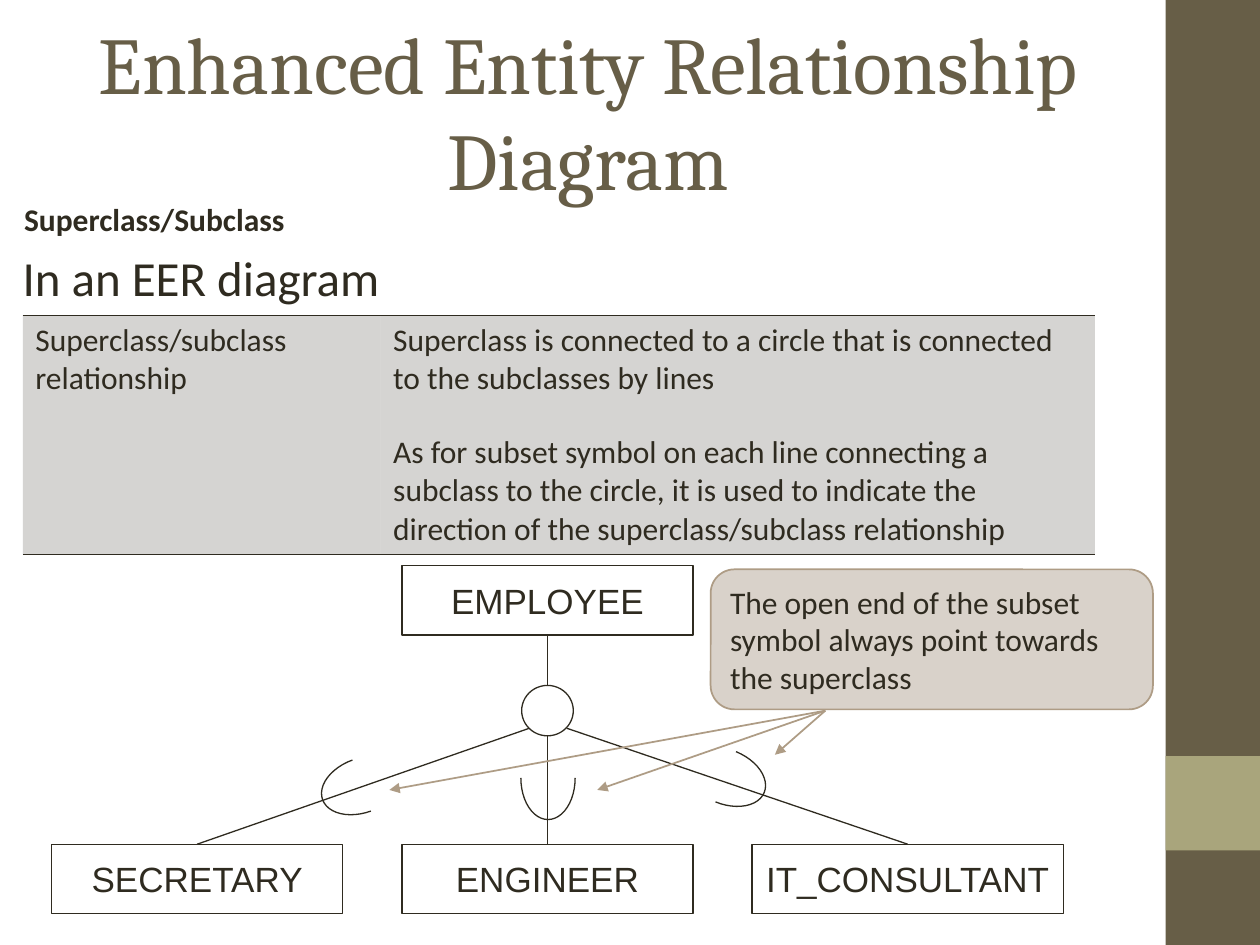
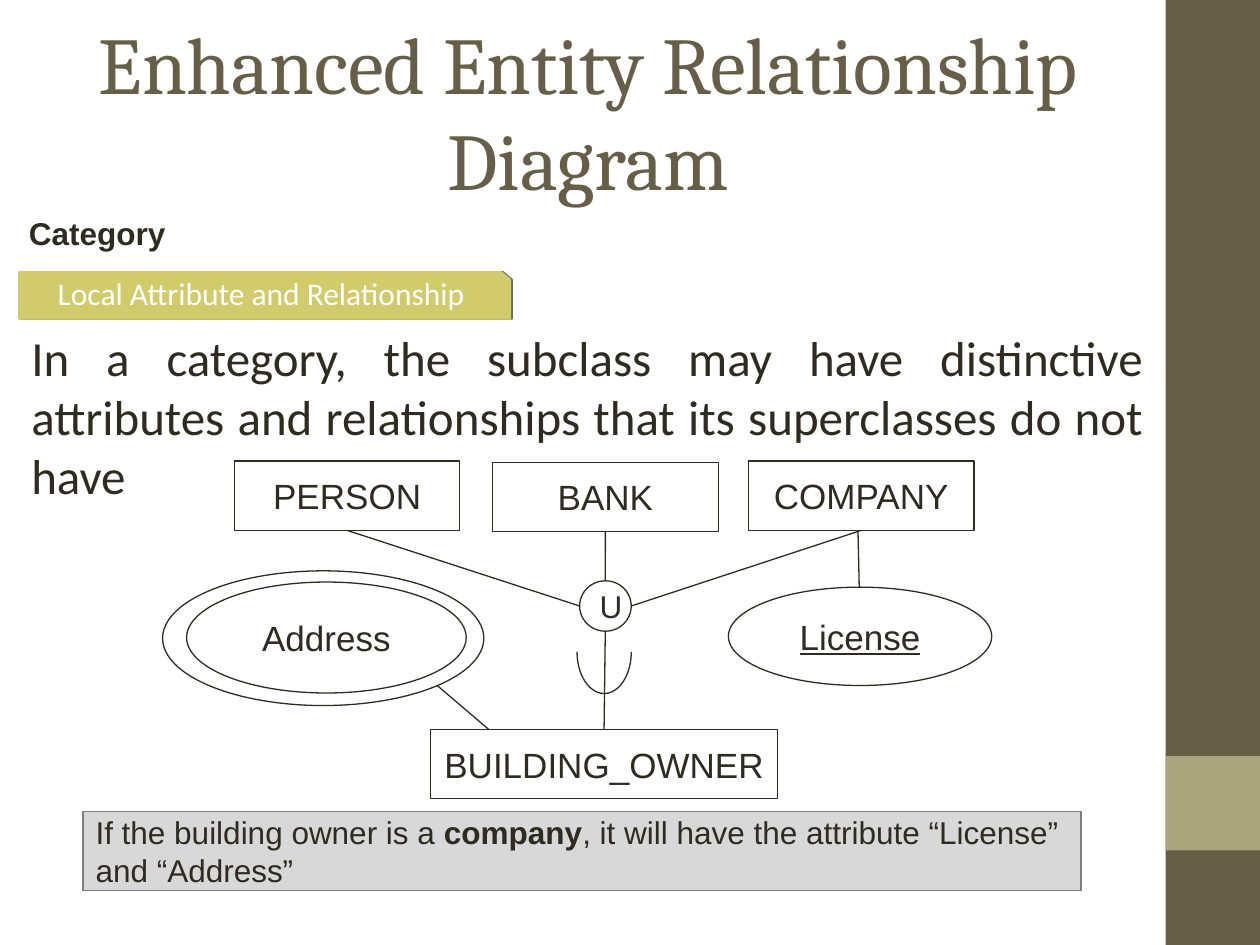
"""Build two slides on enhanced entity relationship diagrams."""
from dataclasses import dataclass
from typing import Any, NamedTuple, Optional, Union

from lxml import etree
from pptx import Presentation
from pptx.dml.color import RGBColor
from pptx.enum.shapes import MSO_CONNECTOR, MSO_SHAPE
from pptx.enum.text import MSO_ANCHOR, PP_ALIGN
from pptx.oxml.ns import qn
from pptx.util import Pt

RECT, OVAL, ARC = MSO_SHAPE.RECTANGLE, MSO_SHAPE.OVAL, MSO_SHAPE.ARC
ROUNDED = MSO_SHAPE.ROUNDED_RECTANGLE
STRAIGHT = MSO_CONNECTOR.STRAIGHT
TOP, MIDDLE = MSO_ANCHOR.TOP, MSO_ANCHOR.MIDDLE
LEFT, CENTER, JUSTIFY = PP_ALIGN.LEFT, PP_ALIGN.CENTER, PP_ALIGN.JUSTIFY
TOP_SITE, BOTTOM_SITE = 0, 2

COLOURS = {
    "ink": "2F2B20", "olive": "675E47", "sage": "A9A57C", "lime": "D2CB6C",
    "sand": "D9D2CA", "tan": "AE9C85", "grey": "7F7F7F", "white": "FFFFFF",
}
TITLE = "Enhanced Entity Relationship Diagram"
ENTITY_HEIGHT = 39.6
HAIRLINE = 0.75


class Box(NamedTuple):
    left: float
    top: float
    width: float
    height: float


class Point(NamedTuple):
    x: float
    y: float


class Site(NamedTuple):
    shape: Any
    index: int


class Style(NamedTuple):
    font: dict
    paragraph: dict
    frame: dict
    colour: str = "ink"


@dataclass
class Look:
    fill: Optional[str] = None
    line: Optional[str] = "ink"
    width: float = HAIRLINE
    opacity: int = 100


@dataclass
class Entity:
    name: str
    left: float
    top: float
    width: float


@dataclass
class SubsetSymbol:
    left: float
    top: float
    rotation: float


def face(name: str, size: float, **extra: Any) -> dict:
    return {"name": name, "size": Pt(size), **extra}


def frame(anchor: Any, wrap: bool = True, side: float = 7.2, edge: float = 3.6) -> dict:
    return {"vertical_anchor": anchor, "word_wrap": wrap, "margin_left": Pt(side),
            "margin_right": Pt(side), "margin_top": Pt(edge), "margin_bottom": Pt(edge)}


HEADING_LINE = {"alignment": LEFT, "line_spacing": Pt(18)}
HEADING_FRAME = frame(TOP, side=5.76, edge=0)
STYLES = {
    "title": Style(face("Cambria", 46), {"alignment": CENTER}, frame(MIDDLE), "olive"),
    "relation heading": Style(face("Calibri", 18, bold=True), HEADING_LINE, HEADING_FRAME),
    "category heading": Style(face("Arial", 18, bold=True), HEADING_LINE, HEADING_FRAME),
    "lead": Style(face("Calibri", 28), {"alignment": LEFT}, frame(TOP)),
    "justified lead": Style(face("Calibri", 28), {"alignment": JUSTIFY}, frame(TOP)),
    "body": Style(face("Calibri", 18), {"alignment": LEFT}, frame(TOP)),
    "tag": Style(face("Calibri", 18), {"alignment": CENTER, "line_spacing": 0.9},
                 {**frame(MIDDLE), "margin_right": Pt(11)}, "white"),
    "entity": Style(face("Arial", 20), {"alignment": CENTER}, frame(MIDDLE, wrap=False)),
    "attribute": Style(face("Arial", 20), {"alignment": CENTER}, frame(MIDDLE)),
    "key": Style(face("Arial", 20, underline=True), {"alignment": CENTER}, frame(MIDDLE)),
    "note": Style(face("Arial", 18), {"alignment": LEFT}, frame(MIDDLE)),
}
OUTLINE = Look()


def rgb(name: str) -> RGBColor:
    return RGBColor.from_string(COLOURS[name])


def apply(target: Any, values: dict) -> None:
    for attribute, value in values.items():
        setattr(target, attribute, value)


def write(text_frame: Any, text: str, style_name: str, gap: float = 0) -> None:
    """Write one paragraph per line; words between asterisks are bold."""
    style = STYLES[style_name]
    apply(text_frame, style.frame)
    for number, line in enumerate(text.split("\n")):
        paragraph = text_frame.add_paragraph() if number else text_frame.paragraphs[0]
        apply(paragraph, style.paragraph)
        if number:
            paragraph.space_before = Pt(gap)
        for part, words in enumerate(line.split("*")):
            run = paragraph.add_run()
            run.text = words
            apply(run.font, style.font)
            run.font.color.rgb = rgb(style.colour)
            if part % 2:
                run.font.bold = True


def set_opacity(properties: Any, percent: int) -> None:
    colour = properties.find(qn("a:solidFill")).find(qn("a:srgbClr"))
    etree.SubElement(colour, qn("a:alpha"), val=str(percent * 1000))


def paint(shape: Any, look: Look) -> None:
    shape.shadow.inherit = False
    if look.fill:
        shape.fill.solid()
        shape.fill.fore_color.rgb = rgb(look.fill)
        if look.opacity < 100:
            set_opacity(shape.element.spPr, look.opacity)
    else:
        shape.fill.background()
    if look.line:
        shape.line.color.rgb = rgb(look.line)
        shape.line.width = Pt(look.width)
    else:
        shape.line.fill.background()


def draw(slide: Any, kind: Any, box: Box, look: Look = OUTLINE,
         text: str = "", style: str = "entity") -> Any:
    shape = slide.shapes.add_shape(kind, *map(Pt, box))
    paint(shape, look)
    if text:
        write(shape.text_frame, text, style)
    return shape


def label(slide: Any, box: Box, text: str, style: str) -> None:
    write(slide.shapes.add_textbox(*map(Pt, box)).text_frame, text, style)


def draw_entities(slide: Any, entities: list[Entity]) -> dict[str, Any]:
    return {e.name: draw(slide, RECT, Box(e.left, e.top, e.width, ENTITY_HEIGHT), text=e.name)
            for e in entities}


def draw_subset(slide: Any, symbol: SubsetSymbol) -> None:
    arc = draw(slide, ARC, Box(symbol.left, symbol.top, 47.5, 31))
    arc.adjustments[1] = 54
    arc.rotation = symbol.rotation


def join(slide: Any, begin: Union[Point, Site], end: Union[Point, Site],
         colour: str = "ink", width: float = HAIRLINE, arrow: bool = False) -> None:
    ends = [Point(0, 0) if isinstance(e, Site) else e for e in (begin, end)]
    link = slide.shapes.add_connector(STRAIGHT, *(Pt(v) for point in ends for v in point))
    if isinstance(begin, Site):
        link.begin_connect(*begin)
    if isinstance(end, Site):
        link.end_connect(*end)
    link.line.color.rgb = rgb(colour)
    link.line.width = Pt(width)
    if arrow:
        line = link.element.spPr.find(qn("a:ln"))
        etree.SubElement(line, qn("a:tailEnd"), type="triangle")
    etree.SubElement(link.element.spPr, qn("a:effectLst"))


def border_cell(properties: Any) -> None:
    for position, side in enumerate("LRTB"):
        line = etree.Element(qn(f"a:ln{side}"), w=str(Pt(0.45)))
        if side in "TB":
            fill = etree.SubElement(line, qn("a:solidFill"))
            etree.SubElement(fill, qn("a:srgbClr"), val=COLOURS["ink"])
        else:
            etree.SubElement(line, qn("a:noFill"))
        properties.insert(position, line)


def draw_rule_table(slide: Any, box: Box, widths: list[float], texts: list[str]) -> None:
    holder = slide.shapes.add_table(1, len(texts), *map(Pt, box))
    table = holder.table
    apply(table, {"first_row": False, "horz_banding": False})
    for column, (width, text) in enumerate(zip(widths, texts)):
        table.columns[column].width = Pt(width)
        cell = table.cell(0, column)
        write(cell.text_frame, text, "body", gap=20)
        apply(cell, {"margin_left": Pt(7.2), "margin_right": Pt(7.2),
                     "margin_top": Pt(3.6), "margin_bottom": Pt(3.6)})
        cell.fill.solid()
        cell.fill.fore_color.rgb = rgb("ink")
    for properties in holder.element.iter(qn("a:tcPr")):
        set_opacity(properties, 20)
        border_cell(properties)


def draw_tag(slide: Any, text: str) -> None:
    left, top, right, bottom = 10.8, 155.5, 291.6, 182.2
    outline = [(right - 5, top), (right, top + 4.3), (right, bottom), (left, bottom)]
    builder = slide.shapes.build_freeform(Pt(left), Pt(top))
    builder.add_line_segments([(Pt(x), Pt(y)) for x, y in outline], close=True)
    tag = builder.convert_to_shape()
    paint(tag, Look("lime", "lime", 1))
    effects = tag.element.spPr.find(qn("a:effectLst"))
    shadow = etree.SubElement(effects, qn("a:outerShdw"), dist=str(Pt(1)), dir="0")
    colour = etree.SubElement(shadow, qn("a:srgbClr"), val="000000")
    etree.SubElement(colour, qn("a:alpha"), val="60000")
    write(tag.text_frame, text, "tag")


def start_slide(deck: Any) -> Any:
    slide = deck.slides.add_slide(deck.slide_layouts[6])
    draw(slide, RECT, Box(666, 0, 54, 540), Look("olive", None))
    draw(slide, RECT, Box(666, 432, 54, 54), Look("sage", None))
    label(slide, Box(36, 18, 600, 90), TITLE, "title")
    return slide


def build_superclass_slide(deck: Any) -> None:
    slide = start_slide(deck)
    label(slide, Box(8, 118, 170, 25), "Superclass/Subclass", "relation heading")
    label(slide, Box(5.8, 138.2, 224, 36), "In an EER diagram", "lead")
    draw_rule_table(slide, Box(13, 180, 612.7, 136.8), [204.5, 408.2], [
        "Superclass/subclass relationship",
        "Superclass is connected to a circle that is connected to the subclasses by lines\n"
        "As for subset symbol on each line connecting a subclass to the circle, it is used "
        "to indicate the direction of the superclass/subclass relationship"])
    entities = draw_entities(slide, [
        Entity("EMPLOYEE", 229.7, 323.3, 166.3), Entity("ENGINEER", 229.7, 482.4, 166.3),
        Entity("SECRETARY", 29.5, 482.4, 166.3), Entity("IT_CONSULTANT", 429.8, 482.4, 177.8)])
    draw(slide, OVAL, Box(298.1, 391.7, 29.5, 28.8), Look("white"))
    join(slide, Site(entities["EMPLOYEE"], BOTTOM_SITE), Point(312.85, 391.7))
    for subclass, start in {"ENGINEER": Point(312.85, 420.5), "SECRETARY": Point(302.4, 416.2),
                            "IT_CONSULTANT": Point(324, 416.2)}.items():
        join(slide, start, Site(entities[subclass], TOP_SITE))
    for symbol in (SubsetSymbol(289.4, 429.1, 90), SubsetSymbol(391, 428.4, 22.2),
                   SubsetSymbol(182.9, 433.4, 160.1)):
        draw_subset(slide, symbol)
    callout = draw(slide, ROUNDED, Box(406.1, 325.4, 252.7, 80), Look("sand", "tan", 1),
                   "The open end of the subset symbol always point towards the superclass", "body")
    callout.adjustments[0] = 0.17
    for open_end in (Point(442.8, 431.3), Point(341.3, 451.4), Point(222.5, 451.4)):
        join(slide, Point(471.6, 406.1), open_end, "tan", 1, arrow=True)


def build_category_slide(deck: Any) -> None:
    slide = start_slide(deck)
    label(slide, Box(10.8, 126, 100, 25), "Category", "category heading")
    draw_tag(slide, "Local Attribute and Relationship")
    label(slide, Box(10.8, 183.6, 649.4, 85), "In a category, the subclass may have distinctive "
          "attributes and relationships that its superclasses do not have", "justified lead")
    draw_subset(slide, SubsetSymbol(321.5, 357.1, 90))
    draw(slide, OVAL, Box(106.6, 332.6, 159.8, 63.4), text="Address", style="attribute")
    draw(slide, OVAL, Box(92.9, 326.2, 183.6, 77))
    join(slide, Point(279.4, 416.9), Point(249.8, 391.7))
    entities = draw_entities(slide, [
        Entity("BUILDING_OWNER", 246.2, 416.9, 198), Entity("PERSON", 133.9, 263.5, 128.9),
        Entity("COMPANY", 427.7, 263.5, 128.9), Entity("BANK", 281.5, 264.2, 128.9)])
    draw(slide, OVAL, Box(331.2, 331.9, 29.5, 28.8), Look("white"), "U", "note")
    for superclass, end in {"BANK": Point(345.9, 331.9), "PERSON": Point(331.2, 346.3),
                            "COMPANY": Point(360.7, 346.3)}.items():
        join(slide, Site(entities[superclass], BOTTOM_SITE), end)
    join(slide, Point(345.9, 360.7), Site(entities["BUILDING_OWNER"], TOP_SITE))
    draw(slide, OVAL, Box(416.2, 335.5, 150.5, 56.2), text="License", style="key")
    join(slide, Point(490.3, 303.1), Point(491, 335.5))
    draw(slide, RECT, Box(47.5, 463.7, 570.2, 45.4), Look("grey", "grey", opacity=30),
         "If the building owner is a *company*, it will have the attribute "
         "“License” and “Address”", "note")


def main() -> None:
    deck = Presentation()
    apply(deck, {"slide_width": Pt(720), "slide_height": Pt(540)})
    build_superclass_slide(deck)
    build_category_slide(deck)
    deck.save("out.pptx")


if __name__ == "__main__":
    main()
